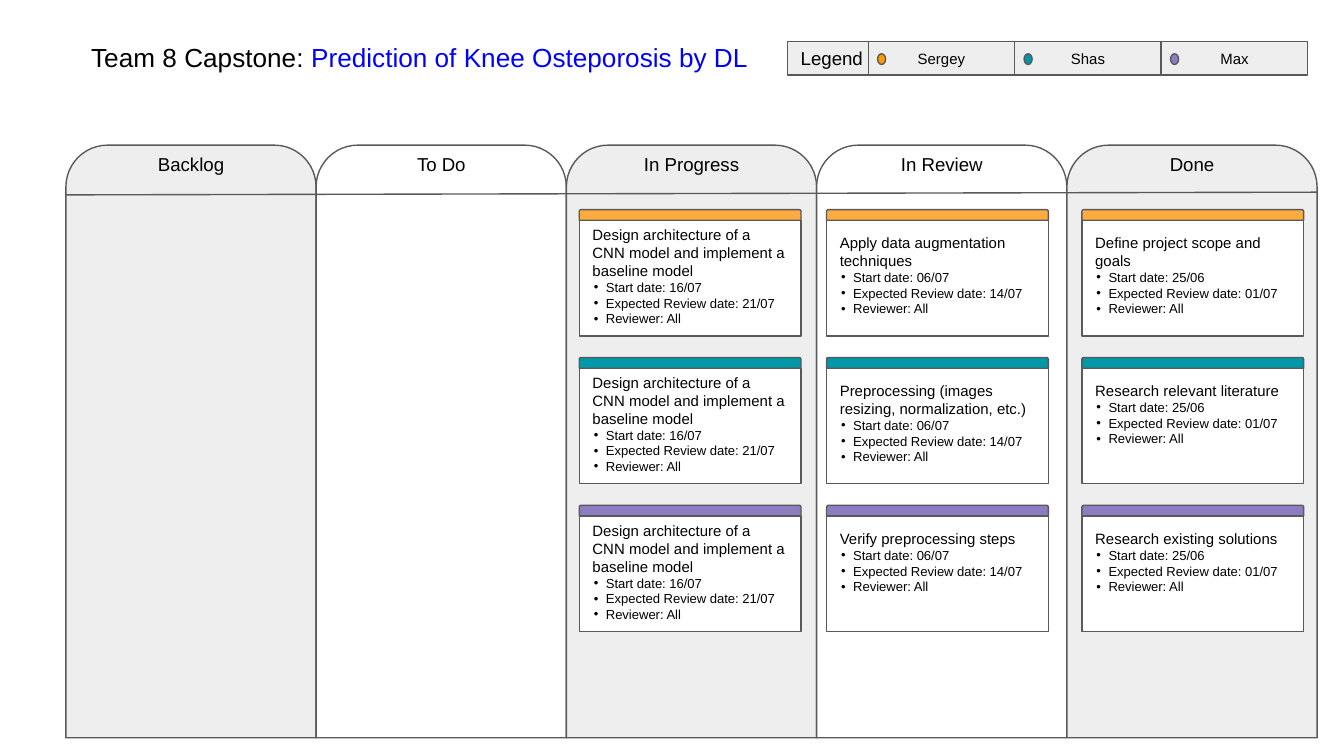
from dataclasses import dataclass

from lxml.etree import SubElement
from pptx import Presentation
from pptx.dml.color import RGBColor
from pptx.enum.shapes import MSO_CONNECTOR, MSO_SHAPE
from pptx.enum.text import MSO_ANCHOR, MSO_AUTO_SIZE, PP_ALIGN
from pptx.oxml.ns import qn
from pptx.shapes.autoshape import Shape
from pptx.shapes.shapetree import GroupShapes, SlideShapes
from pptx.text.text import TextFrame, _Paragraph
from pptx.util import Inches, Pt

COLORS = {
    "black": "000000", "white": "FFFFFF", "gray": "EEEEEE", "outline": "595959",
    "blue": "0000FF", "orange": "FF9900", "light orange": "FFAB40",
    "teal": "0097A7", "purple": "8E7CC3",
}
FONT = "Arial"
LINE_WIDTH = Pt(0.75)

BOARD_LEFT, BOARD_TOP, BOARD_HEIGHT = 0.49, 1.08, 4.41
COLUMN_WIDTH = 9.31 / 5
HEADER_WIDTH = 1.59
CARD_TOP, CARD_PITCH, CARD_WIDTH = 1.56, 1.1, 1.65
STRIP_HEIGHT, CARD_HEIGHT = 0.08, 0.86
LEGEND_TOP, LEGEND_HEIGHT = 0.31, 0.25
MEMBER_LEFT, MEMBER_WIDTH = 6.46, 1.09


@dataclass(frozen=True)
class Member:
    name: str
    dot: str
    strip: str


@dataclass(frozen=True)
class Column:
    name: str
    card_left: float = 0
    start: str = ""
    review: str = ""
    tasks: tuple[str, ...] = ()
    top_inset: float = 0.1


MEMBERS = (
    Member("Sergey", "orange", "light orange"),
    Member("Shas", "teal", "teal"),
    Member("Max", "purple", "purple"),
)
COLUMNS = (
    Column("Backlog"),
    Column("To Do"),
    Column("In Progress", 4.31, "16/07", "21/07",
           ("Design architecture of a CNN model and implement a baseline model",) * 3, 0.04),
    Column("In Review", 6.15, "06/07", "14/07",
           ("Apply data augmentation techniques",
            "Preprocessing (images resizing, normalization, etc.)",
            "Verify preprocessing steps")),
    Column("Done", 8.05, "25/06", "01/07",
           ("Define project scope and goals",
            "Research relevant literature",
            "Research existing solutions")),
)


def rgb(color: str) -> RGBColor:
    return RGBColor.from_string(COLORS[color])


def add_span(para: _Paragraph, text: str, size: float, color: str = "black") -> None:
    span = para.add_run()
    span.text = text
    span.font.name = FONT
    span.font.size = Pt(size)
    span.font.color.rgb = rgb(color)


def set_frame(frame: TextFrame, anchor: MSO_ANCHOR, top_inset: float = 0.1) -> None:
    frame.word_wrap = True
    frame.vertical_anchor = anchor
    frame.margin_left = frame.margin_right = frame.margin_bottom = Inches(0.1)
    frame.margin_top = Inches(top_inset)


def add_panel(shapes: SlideShapes | GroupShapes, kind: MSO_SHAPE, left: float, top: float,
              width: float, height: float, fill: str) -> Shape:
    """Add an outlined, filled shape without a shadow."""
    panel = shapes.add_shape(kind, Inches(left), Inches(top), Inches(width), Inches(height))
    panel.shadow.inherit = False
    panel.fill.solid()
    panel.fill.fore_color.rgb = rgb(fill)
    panel.line.color.rgb = rgb("outline")
    panel.line.width = LINE_WIDTH
    return panel


def add_text_box(shapes: SlideShapes, left: float, top: float,
                 width: float, height: float) -> _Paragraph:
    """Add a text box that grows with its text and return its first paragraph."""
    box = shapes.add_textbox(Inches(left), Inches(top), Inches(width), Inches(height))
    set_frame(box.text_frame, MSO_ANCHOR.TOP)
    box.text_frame.auto_size = MSO_AUTO_SIZE.SHAPE_TO_FIT_TEXT
    return box.text_frame.paragraphs[0]


def add_bullet(para: _Paragraph) -> None:
    properties = para._p.get_or_add_pPr()
    properties.set("marL", str(Inches(0.1)))
    properties.set("indent", str(Inches(-0.09)))
    bullet_color = SubElement(properties, qn("a:buClr"))
    SubElement(bullet_color, qn("a:srgbClr"), val=COLORS["black"])
    SubElement(properties, qn("a:buSzPts"), val="700")
    SubElement(properties, qn("a:buFont"), typeface=FONT)
    SubElement(properties, qn("a:buChar"), char="•")


def add_header_rule(shapes: SlideShapes) -> None:
    rule = shapes.add_connector(MSO_CONNECTOR.STRAIGHT, Inches(BOARD_LEFT), Inches(1.45),
                                Inches(BOARD_LEFT + 5 * COLUMN_WIDTH), Inches(1.43))
    rule.line.color.rgb = rgb("outline")
    rule.line.width = LINE_WIDTH
    SubElement(rule._element.spPr, qn("a:effectLst"))


def add_board(shapes: SlideShapes) -> None:
    lefts = [BOARD_LEFT + index * COLUMN_WIDTH for index in range(len(COLUMNS))]
    for index, left in enumerate(lefts):
        add_panel(shapes, MSO_SHAPE.ROUND_2_SAME_RECTANGLE, left, BOARD_TOP, COLUMN_WIDTH,
                  BOARD_HEIGHT, "white" if index % 2 else "gray")
    add_header_rule(shapes)
    for left, column in zip(lefts, COLUMNS):
        para = add_text_box(shapes, left + (COLUMN_WIDTH - HEADER_WIDTH) / 2, 1.05,
                            HEADER_WIDTH, 0.37)
        para.alignment = PP_ALIGN.CENTER
        add_span(para, column.name, 10)


def add_legend_cell(shapes: GroupShapes, left: float, width: float, text: str,
                    size: float, alignment: PP_ALIGN) -> None:
    cell = add_panel(shapes, MSO_SHAPE.RECTANGLE, left, LEGEND_TOP, width, LEGEND_HEIGHT, "gray")
    set_frame(cell.text_frame, MSO_ANCHOR.MIDDLE)
    para = cell.text_frame.paragraphs[0]
    para.alignment = alignment
    add_span(para, text, size)


def add_legend(shapes: SlideShapes) -> None:
    cells = shapes.add_group_shape().shapes
    add_legend_cell(cells, 5.86, 0.97, "Legend", 10, PP_ALIGN.LEFT)
    lefts = [MEMBER_LEFT + index * MEMBER_WIDTH for index in range(len(MEMBERS))]
    for left, member in reversed(list(zip(lefts, MEMBERS))):
        add_legend_cell(cells, left, MEMBER_WIDTH, member.name, 8, PP_ALIGN.CENTER)
    for left, member in zip(lefts, MEMBERS):
        add_panel(shapes, MSO_SHAPE.OVAL, left + 0.07, 0.4, 0.06, 0.08, member.dot)


def add_card(shapes: SlideShapes, column: Column, task: str, top: float, strip: str) -> None:
    parts = shapes.add_group_shape().shapes
    add_panel(parts, MSO_SHAPE.ROUND_2_SAME_RECTANGLE, column.card_left, top,
              CARD_WIDTH, STRIP_HEIGHT, strip)
    body = add_panel(parts, MSO_SHAPE.RECTANGLE, column.card_left, top + STRIP_HEIGHT,
                     CARD_WIDTH, CARD_HEIGHT, "white")
    frame = body.text_frame
    set_frame(frame, MSO_ANCHOR.TOP, column.top_inset)
    frame.margin_right = Inches(0.11)
    frame.paragraphs[0].alignment = PP_ALIGN.LEFT
    add_span(frame.paragraphs[0], task, 8)
    for detail in (f"Start date: {column.start}",
                   f"Expected Review date: {column.review}",
                   "Reviewer: All"):
        para = frame.add_paragraph()
        para.alignment = PP_ALIGN.LEFT
        add_bullet(para)
        add_span(para, detail, 7)


def main() -> None:
    deck = Presentation()
    deck.slide_width = Inches(10)
    deck.slide_height = deck.slide_width * 9 // 16
    page = deck.slides.add_slide(deck.slide_layouts[6])

    add_board(page.shapes)
    title = add_text_box(page.shapes, 0.58, 0.21, 5.12, 0.44)
    add_span(title, "Team 8 Capstone: ", 14)
    add_span(title, "Prediction of Knee Osteporosis by DL", 14, "blue")
    add_legend(page.shapes)
    for column in reversed(COLUMNS):
        for row, (task, member) in enumerate(zip(column.tasks, MEMBERS)):
            add_card(page.shapes, column, task, CARD_TOP + row * CARD_PITCH, member.strip)

    deck.save("out.pptx")


if __name__ == "__main__":
    main()
